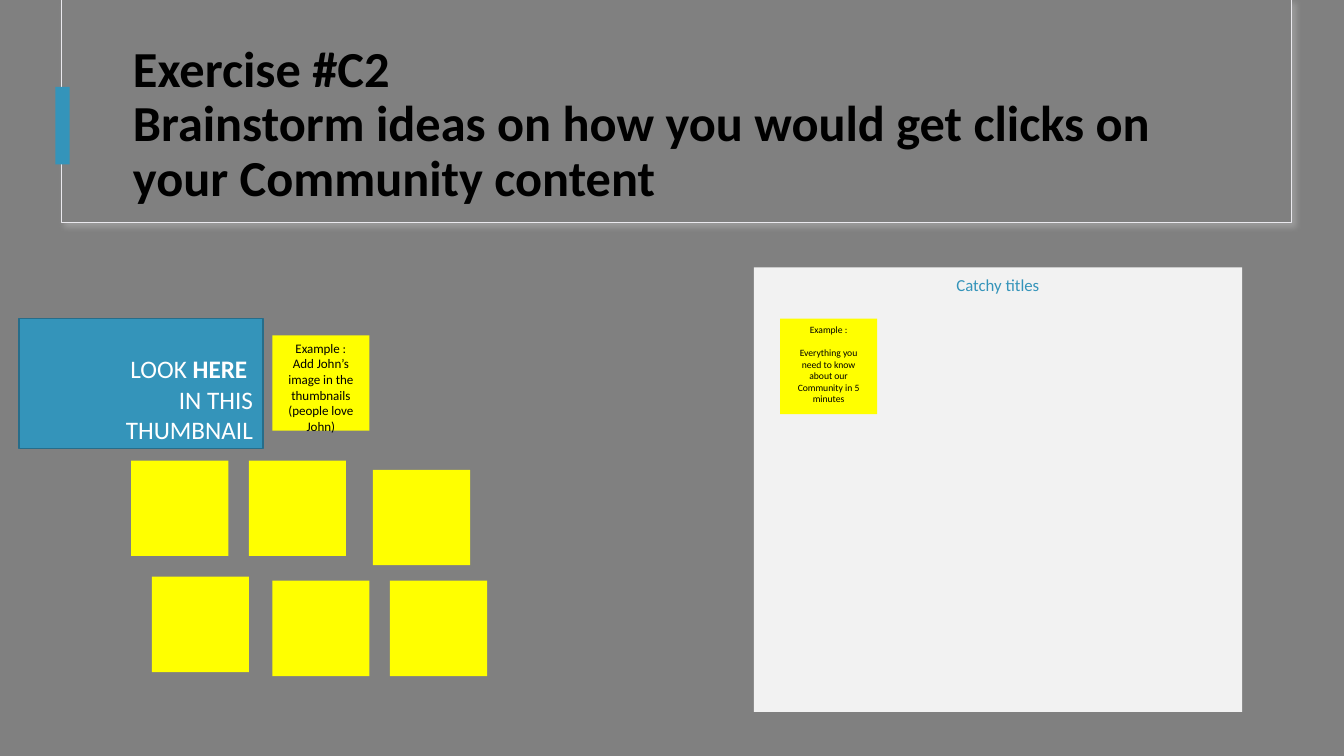
from lxml import etree
from pptx import Presentation
from pptx.dml.color import RGBColor
from pptx.enum.shapes import MSO_SHAPE
from pptx.enum.text import MSO_ANCHOR, MSO_AUTO_SIZE, PP_ALIGN
from pptx.oxml import parse_xml
from pptx.oxml.ns import nsdecls
from pptx.util import Pt

RECTANGLE = MSO_SHAPE.RECTANGLE
TOP, MIDDLE = MSO_ANCHOR.TOP, MSO_ANCHOR.MIDDLE
NO_AUTOFIT = MSO_AUTO_SIZE.NONE
LEFT, CENTER, RIGHT = PP_ALIGN.LEFT, PP_ALIGN.CENTER, PP_ALIGN.RIGHT

GRAY = RGBColor(0x80, 0x80, 0x80)
FRAME = RGBColor(0xEA, 0xE9, 0xEE)
BLUE = RGBColor(0x34, 0x94, 0xBA)
DARK_BLUE = RGBColor(0x26, 0x6D, 0x8A)
PALE = RGBColor(0xF2, 0xF2, 0xF2)
YELLOW = RGBColor(0xFF, 0xFF, 0x00)
BLACK = RGBColor(0, 0, 0)
WHITE = RGBColor(0xFF, 0xFF, 0xFF)

NOTE_WIDTH, NOTE_HEIGHT = 69.4, 68.2

deck = Presentation()
deck.slide_width, deck.slide_height = Pt(960), Pt(540)
page = deck.slides.add_slide(deck.slide_layouts[5])
page.background.fill.solid()
page.background.fill.fore_color.rgb = GRAY


def add_box(left, top, width, height, fill, line=None, line_width=1):
    box = page.shapes.add_shape(RECTANGLE, Pt(left), Pt(top), Pt(width), Pt(height))
    box.shadow.inherit = False
    box.fill.solid()
    box.fill.fore_color.rgb = fill
    if line is None:
        box.line.fill.background()
    else:
        box.line.color.rgb = line
        box.line.width = Pt(line_width)
    return box


def write(box, lines, size, color, align, anchor=TOP):
    frame = box.text_frame
    frame.word_wrap = True
    frame.auto_size = NO_AUTOFIT
    frame.vertical_anchor = anchor
    for index, line in enumerate(lines):
        para = frame.add_paragraph() if index else frame.paragraphs[0]
        para.text = line
        para.alignment = align
        para.font.name = "Calibri"
        para.font.size = Pt(size)
        para.font.color.rgb = color
    return frame


header = add_box(44.2, 0, 878.6, 158.9, GRAY, FRAME, 0.75)
effects = header._element.spPr.find("{*}effectLst")
shadow = parse_xml(
    f'<a:outerShdw {nsdecls("a")} blurRad="50800" dist="38100" dir="2700000" algn="tl" rotWithShape="0"/>'
)
shadow_color = etree.SubElement(shadow, "{%s}srgbClr" % shadow.nsmap["a"], val="D9D9D9")
etree.SubElement(shadow_color, "{%s}alpha" % shadow.nsmap["a"], val="30000")
effects.append(shadow)
add_box(39.6, 62, 10.2, 55.4, BLUE)

title = page.shapes.title
title.left, title.top, title.width, title.height = Pt(87.8), Pt(43.2), Pt(800.6), Pt(92.9)
heading = "Exercise #C2\vBrainstorm ideas on how you would get clicks on your Community content"
title_para = write(title, [heading], 36, BLACK, LEFT, MIDDLE).paragraphs[0]
title_para.line_spacing = 0.9
title_para.font.bold = True
page.shapes._spTree.append(title._element)

board = add_box(538.4, 191, 348.8, 317.6, PALE)
write(board, ["Catchy titles"], 12, BLUE, CENTER).paragraphs[0].line_spacing = 1.1

thumbnail = add_box(13.6, 227.6, 174.2, 92.8, BLUE, DARK_BLUE)
thumbnail_frame = write(thumbnail, ["LOOK ", "IN THIS", "THUMBNAIL"], 18, WHITE, RIGHT, MIDDLE)
thumbnail_frame.margin_top = Pt(25.6)
span = thumbnail_frame.paragraphs[0].add_run()
span.text = "HERE "
span.font.bold = True

title_note = add_box(557.2, 227.6, NOTE_WIDTH, NOTE_HEIGHT, YELLOW)
title_lines = ["Example :", "Everything you need to know about our Community in 5 minutes"]
title_frame = write(title_note, title_lines, 6.9, BLACK, CENTER)
title_frame.paragraphs[1].space_before = Pt(8.4)

image_note = add_box(194.5, 239.5, NOTE_WIDTH, NOTE_HEIGHT, YELLOW)
image_lines = ["Example :", "Add John’s image in the thumbnails (people love John)"]
write(image_note, image_lines, 9.3, BLACK, CENTER)

blank_notes = [
    (93.7, 329), (177.8, 329), (266.4, 335.6),
    (108.5, 412), (194.5, 414.8), (278.6, 414.8),
]
for left, top in blank_notes:
    add_box(left, top, NOTE_WIDTH, NOTE_HEIGHT, YELLOW)

deck.save("out.pptx")
